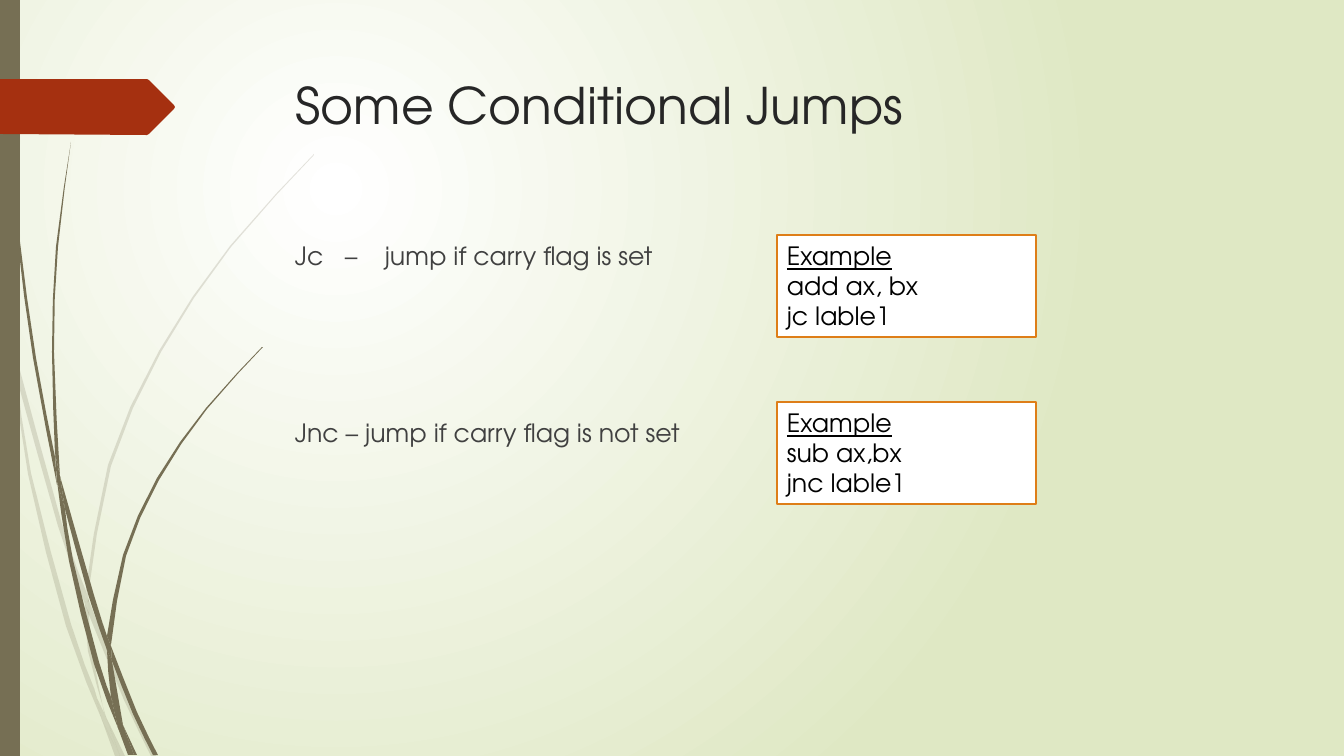
"""Build the slide on conditional jumps, with its stem decoration and example boxes."""
from typing import Any, NamedTuple

from pptx import Presentation
from pptx.dml.color import RGBColor
from pptx.enum.shapes import MSO_SHAPE as SHAPE
from pptx.enum.text import MSO_ANCHOR as ANCHOR, PP_ALIGN as ALIGN
from pptx.oxml.ns import qn
from pptx.util import Emu, Pt
from lxml.etree import SubElement

PX = 914400 / 100.8
FONT = "TeX Gyre Adventor"
OLIVE, RUST, ORANGE, WHITE = "766F54", "A53010", "DE7E18", "FFFFFF"
Edge = list[tuple[int, int]]


class Box(NamedTuple):
    x: int
    y: int
    w: int
    h: int


class Line(NamedTuple):
    text: str
    size: int = 18
    color: str = "000000"
    underline: bool = False
    before: int = 0
    tabs: tuple[int, ...] = ()


class Stem(NamedTuple):
    alpha: int
    pieces: list[list[Edge]]


class Example(NamedTuple):
    top: int
    code: tuple[str, str]


PALE = Stem(20, [
    [[(11, 353), (0, 284)], [(0, 301), (11, 353)]],
    [[(17, 379), (58, 526), (85, 604)], [(86, 591), (62, 524), (14, 348)]],
    [[(89, 615), (124, 700), (151, 756)], [(156, 756), (128, 698), (89, 601)]],
    [[(106, 717), (120, 756)], [(125, 756)]],
    [[(11, 353), (28, 474), (66, 626), (102, 720)],
     [(94, 688), (71, 624), (31, 473), (17, 379)]],
    [[(85, 604), (88, 651), (106, 717)], [(104, 712), (92, 651), (89, 613)]],
    [[(89, 601), (89, 589), (111, 466), (161, 352), (231, 247), (314, 155)],
     [(314, 154), (230, 246), (159, 351), (108, 465), (86, 589)]],
    [[(102, 720), (115, 756)], [(120, 756)]],
    [[(89, 615), (89, 601)], [(86, 591), (85, 604)]],
    [[(97, 698), (94, 688)], [(102, 720), (120, 756)], [(106, 717)]],
])
DARK = Stem(100, [
    [[(3, 0), (7, 111), (17, 235), (33, 358), (57, 485)],
     [(55, 457), (36, 358), (19, 234), (8, 110), (4, 0)]],
    [[(65, 509), (89, 597), (107, 650)], [(107, 636), (94, 595), (60, 476)]],
    [[(112, 661), (133, 714), (153, 755)], [(158, 755), (137, 712), (111, 646)]],
    [[(57, 481), (69, 561), (94, 664), (118, 728)],
     [(111, 697), (99, 662), (73, 560), (65, 509)]],
    [[(60, 476), (54, 352), (58, 247), (71, 142)],
     [(71, 142), (56, 247), (52, 352), (55, 453)]],
    [[(123, 725), (134, 755)], [(137, 755)]],
    [[(57, 481), (65, 509)], [(60, 476), (55, 453)]],
    [[(111, 646), (112, 638), (126, 556), (159, 480), (207, 409), (263, 347)],
     [(262, 347), (206, 408), (157, 478), (123, 555), (107, 636)]],
    [[(118, 728), (128, 755)], [(132, 755)]],
    [[(107, 650), (111, 697), (123, 725)], [(112, 661), (107, 650)]],
    [[(107, 650), (112, 661)], [(111, 646), (107, 636)]],
    [[(117, 712), (111, 697)], [(118, 728), (131, 755)], [(134, 755), (123, 725)]],
])
ARROW: list[Edge] = [[(0, 79), (147, 79)], [(149, 80), (174, 105)], [(175, 107)],
                     [(174, 109), (149, 134)], [(147, 135), (0, 134)]]
EXAMPLES = [Example(235, ("add ax, bx", "jc lable1")), Example(402, ("sub ax,bx", "jnc lable1"))]


def px(n: float) -> Emu:
    """Turn pixels into EMU."""
    return Emu(round(n * PX))


def rgb(color: str) -> RGBColor:
    """Turn a hex string into a colour."""
    return RGBColor.from_string(color)


def apply(obj: Any, fmt: dict[str, Any]) -> None:
    """Set attributes from a dict of format values."""
    for name, value in fmt.items():
        setattr(obj, name, value)


def paint(sp: Any, fill: str, line: str = "", alpha: int = 100) -> None:
    """Fill and outline a shape, without shadow."""
    sp.shadow.inherit = False
    sp.fill.solid()
    sp.fill.fore_color.rgb = rgb(fill)
    if alpha < 100:
        clr = sp._element.spPr.find(qn("a:solidFill")).find(qn("a:srgbClr"))
        SubElement(clr, qn("a:alpha"), val=str(alpha * 1000))
    if line:
        sp.line.color.rgb = rgb(line)
        sp.line.width = Pt(1.25)
    else:
        sp.line.fill.background()


def smooth(edge: Edge, steps: int = 2) -> list[tuple[float, float]]:
    """Sample a Catmull-Rom curve through the knots of an edge."""
    if len(edge) < 3:
        return list(edge)
    knots = [edge[0], *edge, edge[-1]]
    pts: list[tuple[float, float]] = [edge[0]]
    for quad in zip(knots, knots[1:], knots[2:], knots[3:]):
        for t in (i / steps for i in range(1, steps + 1)):
            x, y = (b + t * (c - a) / 2 + t * t * (a - 2.5 * b + 2 * c - d / 2)
                    + t ** 3 * (3 * b - a - 3 * c + d) / 2 for a, b, c, d in zip(*quad))
            pts.append((x, y))
    return pts


def outline(shapes: Any, edges: list[Edge], color: str, alpha: int = 100) -> None:
    """Draw a closed outline made of smooth edges."""
    first, *rest = [(px(x), px(y)) for edge in edges for x, y in smooth(edge)]
    builder = shapes.build_freeform(*first, scale=1.0)
    builder.add_line_segments(rest, close=True)
    paint(builder.convert_to_shape(), color, alpha=alpha)


def write(sp: Any, lines: list[Line]) -> None:
    """Write lines as paragraphs of a shape."""
    tf = sp.text_frame
    apply(tf, {"word_wrap": True, "vertical_anchor": ANCHOR.TOP})
    for i, line in enumerate(lines):
        p = tf.add_paragraph() if i else tf.paragraphs[0]
        apply(p, {"alignment": ALIGN.LEFT, "space_before": Pt(line.before)})
        if line.tabs:
            tabs = SubElement(p._p.get_or_add_pPr(), qn("a:tabLst"))
            for pos in line.tabs:
                SubElement(tabs, qn("a:tab"), pos=str(int(px(pos))), algn="l")
        r = p.add_run()
        r.text = line.text
        apply(r.font, {"name": FONT, "size": Pt(line.size), "underline": line.underline})
        r.font.color.rgb = rgb(line.color)


def textbox(s: Any, box: Box, lines: list[Line]) -> None:
    """Add a text box with lines."""
    write(s.shapes.add_textbox(*map(px, box)), lines)


def rect(s: Any, box: Box, fill: str, line: str = "") -> Any:
    """Add a rectangle."""
    sp = s.shapes.add_shape(SHAPE.RECTANGLE, *map(px, box))
    paint(sp, fill, line)
    return sp


def backdrop(s: Any) -> None:
    """Fill the background with a circular gradient."""
    fill = s.background.fill
    fill.gradient()
    for stop, color in zip(fill.gradient_stops, (WHITE, "DFE8C4")):
        stop.color.rgb = rgb(color)
    grad = next(s._element.iter(qn("a:gradFill")))
    grad.remove(grad.find(qn("a:lin")))
    circle = SubElement(grad, qn("a:path"), {"path": "circle"})
    SubElement(circle, qn("a:fillToRect"), l="50000", t="50000", r="100000", b="100000")


def main() -> None:
    """Build and save the slide."""
    prs = Presentation()
    apply(prs, {"slide_width": px(1344), "slide_height": px(756)})
    s = prs.slides.add_slide(prs.slide_layouts[6])
    backdrop(s)
    for stem in (PALE, DARK):
        group = s.shapes.add_group_shape()
        for edges in stem.pieces:
            outline(group.shapes, edges, OLIVE, stem.alpha)
    rect(s, Box(0, 0, 20, 756), OLIVE)
    outline(s.shapes, ARROW, RUST)
    textbox(s, Box(286, 69, 983, 141), [Line("Some Conditional Jumps", 36, "262626")])
    textbox(s, Box(285, 235, 983, 416), [
        Line("Jc\t–\tjump if carry flag is set", color="404040", tabs=(50, 90)),
        Line("Jnc – jump if carry flag is not set", color="404040", before=105)])
    for example in EXAMPLES:
        sp = rect(s, Box(777, example.top, 259, 102), WHITE, ORANGE)
        write(sp, [Line("Example", underline=True), *map(Line, example.code)])
    prs.save("out.pptx")


main()
